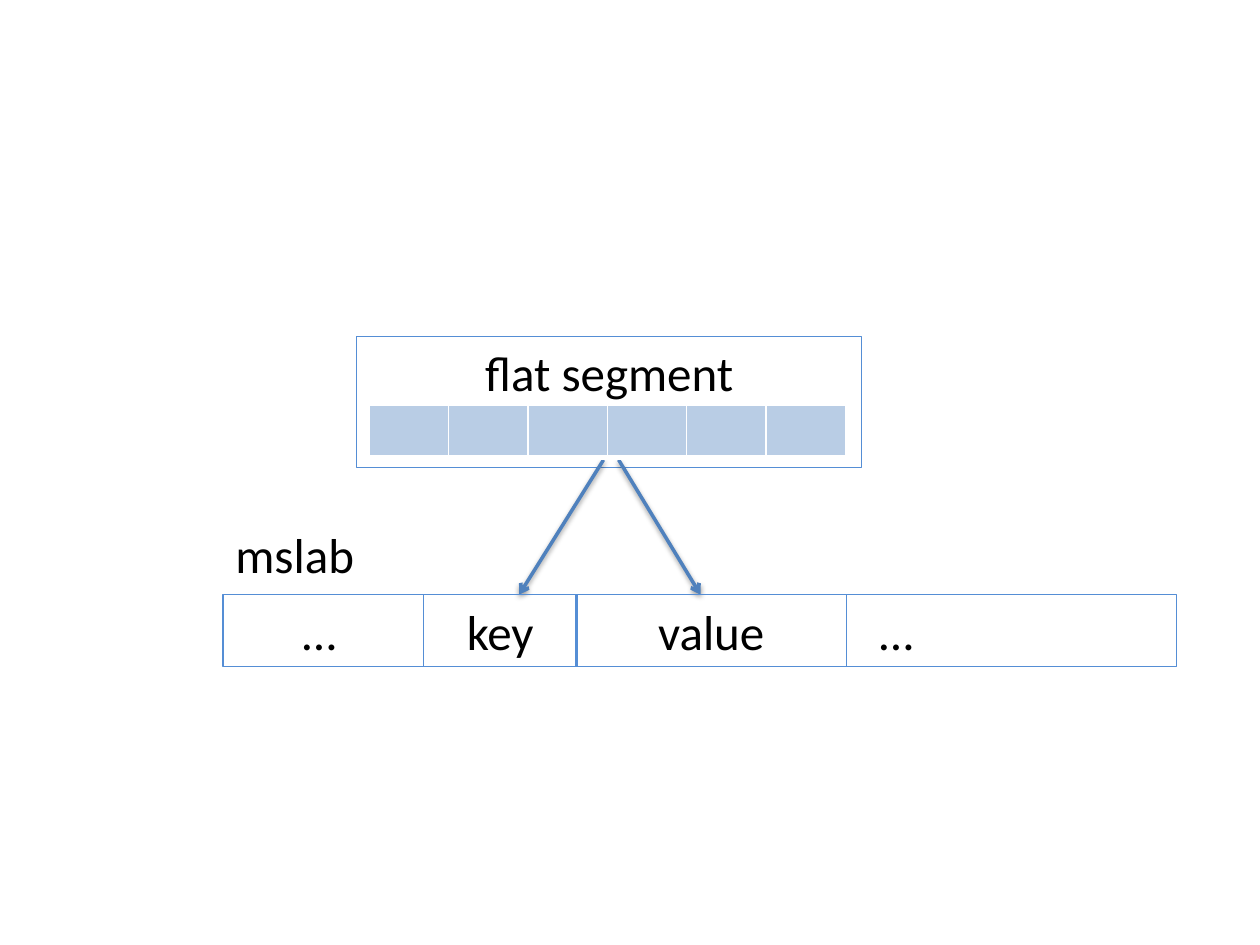
from lxml.etree import SubElement
from pptx import Presentation
from pptx.dml.color import RGBColor
from pptx.enum.shapes import MSO_CONNECTOR, MSO_SHAPE
from pptx.enum.text import MSO_ANCHOR, PP_ALIGN
from pptx.oxml import parse_xml
from pptx.oxml.ns import nsdecls, qn
from pptx.util import Inches, Pt

COLORS = {
    "text": "000000",
    "outline": "558ED5",
    "arrow": "4F81BD",
    "slot": "B9CDE5",
    "border": "FFFFFF",
    "shadow": "000000",
}


class Diagram:
    font_name = "Calibri"
    font_size = Pt(28)

    def __init__(self, slide):
        self.slide = slide

    def color(self, name):
        return RGBColor.from_string(COLORS[name])

    def set_text(self, shape, text, align):
        paragraph = shape.text_frame.paragraphs[0]
        paragraph.text = text
        paragraph.alignment = align
        paragraph.font.name = self.font_name
        paragraph.font.size = self.font_size
        paragraph.font.color.rgb = self.color("text")

    def box(self, left, top, width, height, text,
            anchor=MSO_ANCHOR.MIDDLE, align=PP_ALIGN.CENTER):
        box = self.slide.shapes.add_shape(
            MSO_SHAPE.RECTANGLE, Inches(left), Inches(top), Inches(width), Inches(height))
        box.shadow.inherit = False
        box.fill.background()
        box.line.color.rgb = self.color("outline")
        box.line.width = Pt(0.75)
        box.text_frame.word_wrap = True
        box.text_frame.vertical_anchor = anchor
        self.set_text(box, text, align)
        return box

    def tabbed_box(self, left, top, width, height, texts, inset, tab):
        box = self.box(left, top, width, height, "\t".join(texts), align=PP_ALIGN.LEFT)
        box.text_frame.margin_left = Inches(inset)
        properties = box.text_frame.paragraphs[0]._p.get_or_add_pPr()
        properties.insert(0, parse_xml(
            f'<a:tabLst {nsdecls("a")}><a:tab pos="{Inches(tab)}" algn="l"/></a:tabLst>'))

    def label(self, left, top, width, height, text):
        label = self.slide.shapes.add_textbox(
            Inches(left), Inches(top), Inches(width), Inches(height))
        label.text_frame.word_wrap = False
        self.set_text(label, text, PP_ALIGN.LEFT)

    def arrow(self, start, end):
        arrow = self.slide.shapes.add_connector(
            MSO_CONNECTOR.STRAIGHT, *map(Inches, start + end))
        arrow.line.color.rgb = self.color("arrow")
        arrow.line.width = Pt(2)
        properties = arrow._element.spPr
        SubElement(properties.find(qn("a:ln")), qn("a:tailEnd"), type="arrow")
        properties.append(parse_xml(
            f'<a:effectLst {nsdecls("a")}>'
            f'<a:outerShdw blurRad="{Pt(3.1)}" dist="{Pt(1.6)}" dir="5400000" rotWithShape="0">'
            f'<a:srgbClr val="{COLORS["shadow"]}"><a:alpha val="38000"/></a:srgbClr>'
            '</a:outerShdw></a:effectLst>'))

    def slots(self, left, top, width, height, count):
        table = self.slide.shapes.add_table(
            1, count, Inches(left), Inches(top), Inches(width), Inches(height)).table
        for cell in table.iter_cells():
            properties = cell._tc.get_or_add_tcPr()
            for side, points in (("L", 1), ("R", 1), ("T", 1), ("B", 3)):
                border = SubElement(properties, qn(f"a:ln{side}"), w=str(Pt(points)))
                fill = SubElement(border, qn("a:solidFill"))
                SubElement(fill, qn("a:srgbClr"), val=COLORS["border"])
            cell.fill.solid()
            cell.fill.fore_color.rgb = self.color("slot")


def main():
    presentation = Presentation()
    presentation.slide_width = Inches(10)
    presentation.slide_height = Inches(7.5)
    diagram = Diagram(presentation.slides.add_slide(presentation.slide_layouts[6]))

    slab_left, slab_top, slab_height = 1.77, 4.72, 0.57
    arrow_top = 3.65

    diagram.box(2.83, 2.67, 4.01, 1.04, "flat segment", MSO_ANCHOR.TOP)
    for start, end in ((4.79, 4.12), (4.91, 5.56)):
        diagram.arrow((start, arrow_top), (end, slab_top))
    diagram.slots(2.93, 3.22, 3.78, 0.41, 6)
    for left, width, text in ((3.36, 1.22, "key"), (4.57, 2.15, "value")):
        diagram.box(left, slab_top, width, slab_height, text)
    diagram.tabbed_box(slab_left, slab_top, 7.57, slab_height, ("…", "…"), 0.63, 4.58)
    diagram.label(slab_left, 4.11, 1.15, slab_height, "mslab")

    presentation.save("out.pptx")


if __name__ == "__main__":
    main()
